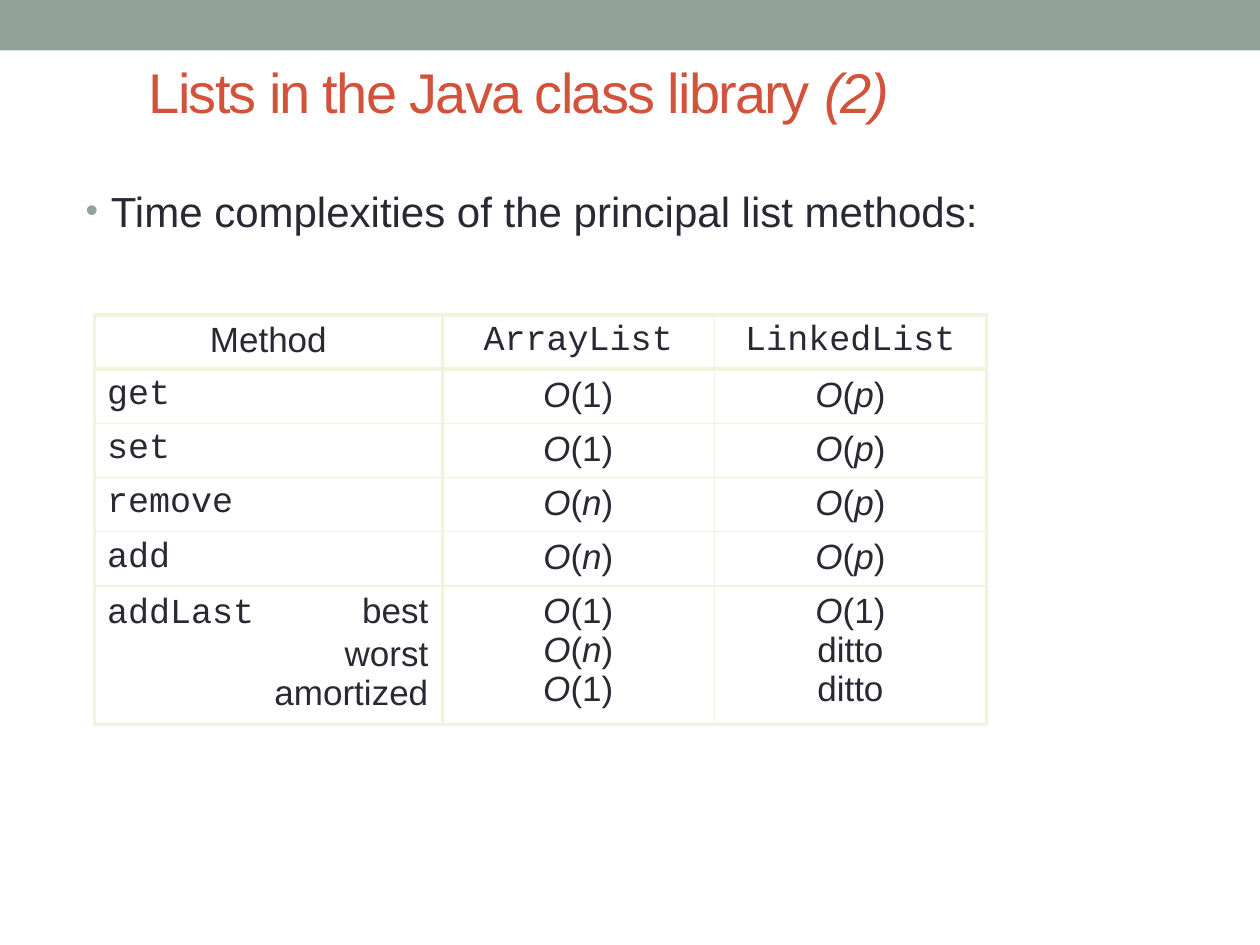
from lxml.etree import SubElement
from pptx import Presentation
from pptx.dml.color import RGBColor
from pptx.enum.shapes import MSO_SHAPE as Shape
from pptx.enum.text import MSO_ANCHOR as Anchor, MSO_AUTO_SIZE as AutoSize, PP_ALIGN as Align
from pptx.oxml.ns import qn
from pptx.util import Inches, Pt

TITLE = "Lists in the Java class library *(2)*"
POINT = "Time complexities of the principal list methods:"
HEADINGS = ["Method", "`ArrayList`", "`LinkedList`"]
METHODS = [
    ("`get`", "*O*(1)", "*O*(*p*)"),
    ("`set`", "*O*(1)", "*O*(*p*)"),
    ("`remove`", "*O*(*n*)", "*O*(*p*)"),
    ("`add`", "*O*(*n*)", "*O*(*p*)"),
    ("`addLast`\tbest\n\tworst\n\tamortized", "*O*(1)\n*O*(*n*)\n*O*(1)", "*O*(1)\nditto\nditto"),
]
COLUMN_WIDTHS = [2.76, 2.16, 2.16]
ROW_HEIGHTS = [0.43] * 5 + [1.1]
SAGE, RUST, INK, CREAM, WHITE = "93A299", "D2533C", "292934", "F3F2DC", "FFFFFF"
THICK, THIN = 2.25, 1


def color(value):
    return RGBColor.from_string(value)


def write(paragraph, marked, size, ink):
    paragraph.font.size = Pt(size)
    paragraph.font.name = "Arial"
    paragraph.font.color.rgb = color(ink)
    italic = code = False
    piece = ""
    for mark in marked + "\0":
        if mark not in "*`\n\0":
            piece += mark
            continue
        if piece:
            run = paragraph.add_run()
            run.text = piece
            if italic:
                run.font.italic = True
            if code:
                run.font.name = "Courier New"
            piece = ""
        if mark == "\n":
            paragraph.add_line_break()
        italic ^= mark == "*"
        code ^= mark == "`"


def place(shape, left, top, width, height):
    shape.left, shape.top = Inches(left), Inches(top)
    shape.width, shape.height = Inches(width), Inches(height)


def add_border(cell, side, weight):
    line = SubElement(cell._tc.get_or_add_tcPr(), qn("a:ln" + side), w=str(Pt(weight)))
    SubElement(SubElement(line, qn("a:solidFill")), qn("a:srgbClr"), val=CREAM)


deck = Presentation()
deck.slide_width, deck.slide_height = Inches(10), Inches(7.5)
slide = deck.slides.add_slide(deck.slide_layouts[1])

band = slide.shapes.add_shape(Shape.RECTANGLE, 0, 0, Inches(10), Inches(0.4))
band.shadow.inherit = False
band.fill.solid()
band.fill.fore_color.rgb = color(SAGE)
band.line.fill.background()
slide.shapes._spTree.insert(2, band._element)

title = slide.shapes.title
place(title, 1.08, 0.33, 6.72, 0.79)
title.text_frame.vertical_anchor = Anchor.MIDDLE
title.text_frame.auto_size = AutoSize.NONE
heading = title.text_frame.paragraphs[0]
heading.alignment = Align.LEFT
write(heading, TITLE, 32, RUST)
for run in heading.runs:
    run._r.get_or_add_rPr().set("spc", "-100")

body = slide.placeholders[1]
place(body, 0.58, 1.42, 7.88, 5.08)
body.text_frame.auto_size = AutoSize.NONE
point = body.text_frame.paragraphs[0]
bullet = point._p.get_or_add_pPr()
bullet.set("marL", str(Inches(0.2)))
bullet.set("indent", str(-Inches(0.2)))
SubElement(SubElement(bullet, qn("a:buClr")), qn("a:srgbClr"), val=SAGE)
SubElement(bullet, qn("a:buSzPct"), val="85000")
SubElement(bullet, qn("a:buFont"), typeface="Arial")
SubElement(bullet, qn("a:buChar"), char="•")
write(point, POINT, 24, INK)

rows = [HEADINGS, *METHODS]
complexities = slide.shapes.add_table(
    len(rows), len(HEADINGS), Inches(0.75), Inches(2.5),
    Inches(sum(COLUMN_WIDTHS)), Inches(sum(ROW_HEIGHTS))).table
complexities.first_row = complexities.horz_banding = False
for column, width in zip(complexities.columns, COLUMN_WIDTHS):
    column.width = Inches(width)
for row, height in zip(complexities.rows, ROW_HEIGHTS):
    row.height = Inches(height)

last_row, last_column = len(rows) - 1, len(HEADINGS) - 1
for r, texts in enumerate(rows):
    for c, text in enumerate(texts):
        cell = complexities.cell(r, c)
        heavy = {"L": c < 2, "R": c in (0, last_column), "T": r < 2, "B": r in (0, last_row)}
        for side, is_heavy in heavy.items():
            add_border(cell, side, THICK if is_heavy else THIN)
        cell.fill.solid()
        cell.fill.fore_color.rgb = color(WHITE)
        entry = cell.text_frame.paragraphs[0]
        entry.alignment = Align.LEFT if r and not c else Align.CENTER
        if "\t" in text:
            tabs = SubElement(entry._p.get_or_add_pPr(), qn("a:tabLst"))
            SubElement(tabs, qn("a:tab"), pos=str(Inches(2.55)), algn="r")
        write(entry, text, 20, INK)

deck.save("out.pptx")
